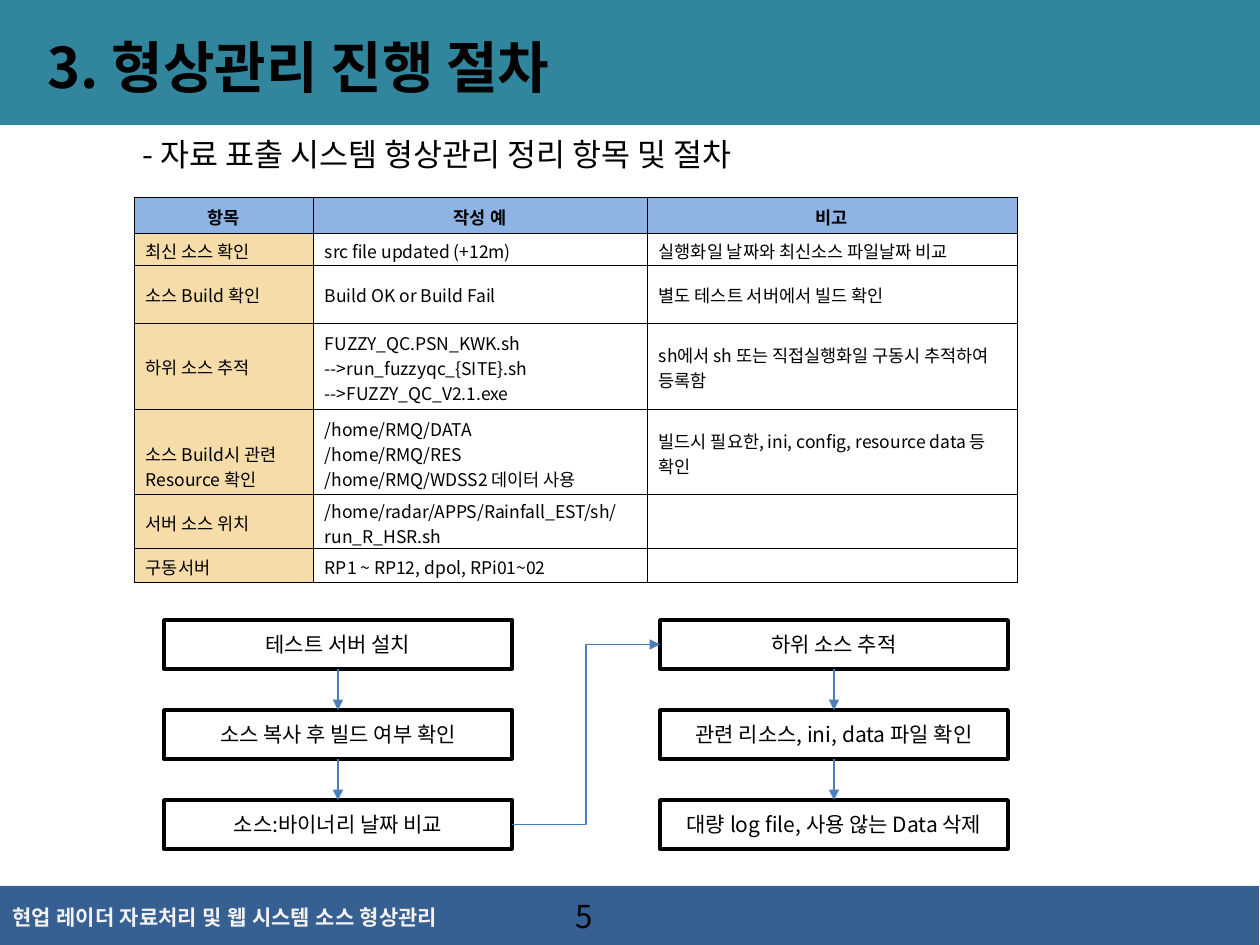
from pptx import Presentation, util as u
from pptx.dml.color import RGBColor
from pptx.enum import shapes, text
from pptx.oxml import ns, xmlchemy

PX_PER_INCH = 126
FONT = "Noto Sans CJK KR"
FOOTER_FONT = "League Spartan"

BLACK = RGBColor(0x00, 0x00, 0x00)
WHITE = RGBColor(0xFF, 0xFF, 0xFF)
TEAL = RGBColor(0x31, 0x85, 0x9C)
NAVY = RGBColor(0x37, 0x60, 0x92)
PALE_GRAY = RGBColor(0xF2, 0xF2, 0xF2)
HEADER_BLUE = RGBColor(0x8E, 0xB4, 0xE3)
ITEM_SAND = RGBColor(0xF5, 0xDC, 0xA8)
ARROW_BLUE = RGBColor(0x4B, 0x7E, 0xBC)

COLUMN_WIDTHS = [179, 334, 370]
ROW_HEIGHTS = [36, 32, 58, 86, 86, 54, 34]
ROWS = [
    ["항목", "작성 예", "비고"],
    ["최신 소스 확인", "src file updated (+12m)", "실행화일 날짜와 최신소스 파일날짜 비교"],
    ["소스 Build 확인", "Build OK or Build Fail", "별도 테스트 서버에서 빌드 확인"],
    ["하위 소스 추적",
     "FUZZY_QC.PSN_KWK.sh\n-->run_fuzzyqc_{SITE}.sh\n-->FUZZY_QC_V2.1.exe",
     "sh에서 sh 또는 직접실행화일 구동시 추적하여 등록함"],
    ["소스 Build시 관련\nResource 확인",
     "/home/RMQ/DATA\n/home/RMQ/RES\n/home/RMQ/WDSS2 데이터 사용",
     "빌드시 필요한, ini, config, resource data 등 확인"],
    ["서버 소스 위치", "/home/radar/APPS/Rainfall_EST/sh/run_R_HSR.sh", ""],
    ["구동서버", "RP1 ~ RP12, dpol, RPi01~02", ""],
]
BOTTOM_CELLS = {(0, 0), (0, 1), (0, 2), (3, 1), (4, 0), (4, 1)}

STEP_COLUMNS = [
    (164, ["테스트 서버 설치", "소스 복사 후 빌드 여부 확인", "소스:바이너리 날짜 비교"]),
    (660, ["하위 소스 추적", "관련 리소스, ini, data 파일 확인",
           "대량 log file, 사용 않는 Data 삭제"]),
]
TOP, LEFT, BOTTOM, RIGHT = range(4)  # connection sites of a rectangle


def px(*lengths):
    """Turn pixel lengths into EMU."""
    return [u.Emu(round(length * 914400 / PX_PER_INCH)) for length in lengths]


def add_xml(parent, tag, **attributes):
    element = xmlchemy.OxmlElement(tag)
    for name, value in attributes.items():
        element.set(name, value)
    parent.append(element)
    return element


def write(frame, content, size, color=BLACK, bold=False, align=None, font=FONT):
    """Fill a text frame, one paragraph for each line of content."""
    frame.text = content
    for paragraph in frame.paragraphs:
        paragraph.alignment = align
        paragraph.space_before = u.Pt(0)
        paragraph.font.size = u.Pt(size)
        paragraph.font.bold = bold
        paragraph.font.color.rgb = color
        paragraph.font.name = font
        add_xml(paragraph.font._rPr, "a:ea", typeface=font)


def fill_placeholder(shape, content, box, size, bold=False):
    shape.left, shape.top, shape.width, shape.height = px(*box)
    frame = shape.text_frame
    write(frame, content, size, bold=bold, align=text.PP_ALIGN.LEFT)
    frame.auto_size = text.MSO_AUTO_SIZE.NONE
    frame.vertical_anchor = text.MSO_ANCHOR.MIDDLE
    properties = frame.paragraphs[0]._p.get_or_add_pPr()
    properties.set("marL", "0")
    properties.set("indent", "0")
    properties.find(ns.qn("a:defRPr")).addprevious(xmlchemy.OxmlElement("a:buNone"))


def add_rectangle(slide, box, fill):
    shape = slide.shapes.add_shape(shapes.MSO_SHAPE.RECTANGLE, *px(*box))
    shape.shadow.inherit = False
    shape.fill.solid()
    shape.fill.fore_color.rgb = fill
    shape.line.fill.background()
    return shape


def add_band(slide, box, fill):
    """Add a colour band behind everything else."""
    band = add_rectangle(slide, box, fill)
    slide.shapes._spTree.insert(2, band._element)


def add_label(slide, content, box, size, **style):
    frame = slide.shapes.add_textbox(*px(*box)).text_frame
    frame.word_wrap = True
    write(frame, content, size, **style)


def add_step(slide, content, left, top):
    shape = add_rectangle(slide, (left, top, 348, 49), WHITE)
    shape.line.color.rgb = BLACK
    shape.line.width = u.Pt(2)
    shape.text_frame.vertical_anchor = text.MSO_ANCHOR.MIDDLE
    write(shape.text_frame, content, 12, align=text.PP_ALIGN.CENTER)
    return shape


def add_arrow(slide, kind, start, start_site, end, end_site):
    connector = slide.shapes.add_connector(kind, 0, 0, 0, 0)
    connector.begin_connect(start, start_site)
    connector.end_connect(end, end_site)
    connector.line.color.rgb = ARROW_BLUE
    connector.line.width = u.Pt(0.75)
    add_xml(connector.line._get_or_add_ln(), "a:tailEnd", type="triangle")
    add_xml(connector._element.spPr, "a:effectLst")


def format_cell(cell, row, column):
    at_bottom = (row, column) in BOTTOM_CELLS
    cell.vertical_anchor = text.MSO_ANCHOR.BOTTOM if at_bottom else text.MSO_ANCHOR.MIDDLE
    cell.margin_left, cell.margin_top, cell.margin_right, cell.margin_bottom = px(
        12, 3, 12, 3 if at_bottom else 0)
    for side in "LRTB":
        border = add_xml(cell._tc.get_or_add_tcPr(), f"a:ln{side}", w=str(u.Pt(0.5)))
        add_xml(add_xml(border, "a:solidFill"), "a:srgbClr", val=str(BLACK))
    if row == 0 or column == 0:
        cell.fill.solid()
        cell.fill.fore_color.rgb = HEADER_BLUE if row == 0 else ITEM_SAND
    else:
        cell.fill.background()


def add_item_table(slide):
    box = px(134, 197, sum(COLUMN_WIDTHS), sum(ROW_HEIGHTS))
    table = slide.shapes.add_table(len(ROWS), len(COLUMN_WIDTHS), *box).table
    table.first_row = table.horz_banding = False
    for column, width in zip(table.columns, px(*COLUMN_WIDTHS)):
        column.width = width
    for row, height in zip(table.rows, px(*ROW_HEIGHTS)):
        row.height = height
    for row, contents in enumerate(ROWS):
        for column, content in enumerate(contents):
            cell = table.cell(row, column)
            format_cell(cell, row, column)
            align = text.PP_ALIGN.CENTER if row == 0 else text.PP_ALIGN.LEFT
            write(cell.text_frame, content, 10, bold=row == 0, align=align)
            if not content:  # keeps the empty line from stretching its row
                add_xml(cell.text_frame.paragraphs[0]._p, "a:endParaRPr", sz="1000")


def add_flow(slide):
    columns = [[add_step(slide, content, left, 620 + 90 * index)
                for index, content in enumerate(contents)]
               for left, contents in STEP_COLUMNS]
    for steps in columns:
        for start, end in zip(steps, steps[1:]):
            add_arrow(slide, shapes.MSO_CONNECTOR.STRAIGHT, start, BOTTOM, end, TOP)
    first, second = columns
    add_arrow(slide, shapes.MSO_CONNECTOR.ELBOW, first[-1], RIGHT, second[0], LEFT)


def main():
    presentation = Presentation()
    presentation.slide_width, presentation.slide_height = px(1260, 945)
    slide = presentation.slides.add_slide(presentation.slide_layouts[1])
    add_band(slide, (0, 0, 1260, 125), TEAL)
    add_band(slide, (-1, 886, 1260, 63), NAVY)
    title, body = slide.placeholders
    fill_placeholder(title, "3. 형상관리 진행 절차", (35, 26, 585, 81), 32, bold=True)
    fill_placeholder(body, "- 자료 표출 시스템 형상관리 정리 항목 및 절차", (130, 129, 701, 50), 18)
    add_item_table(slide)
    add_flow(slide)
    add_label(slide, "현업 레이더 자료처리 및 웹 시스템 소스 형상관리", (0, 898, 563, 38), 12,
              color=PALE_GRAY, bold=True, font=FOOTER_FONT)
    add_label(slide, "5", (563, 891, 294, 50), 18)
    presentation.save("out.pptx")


if __name__ == "__main__":
    main()
